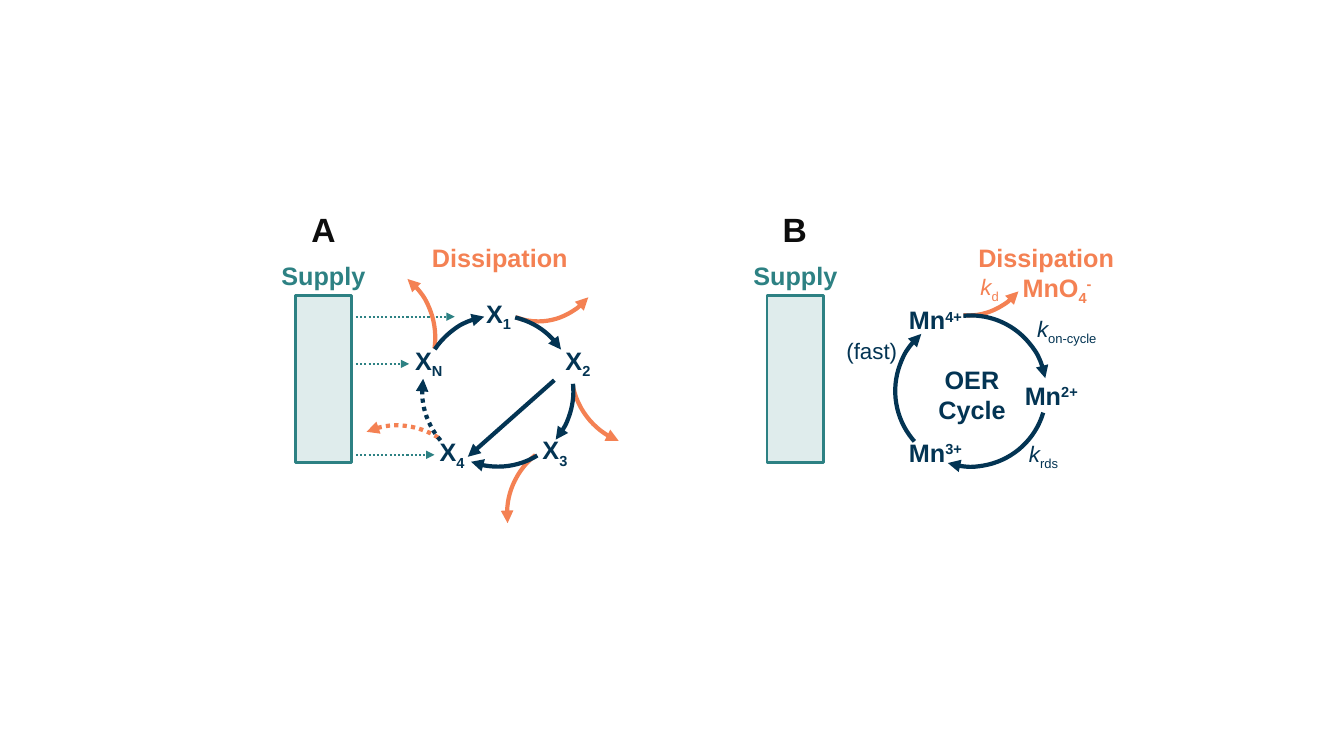
from dataclasses import dataclass

from pptx import Presentation
from pptx.dml.color import RGBColor
from pptx.enum.dml import MSO_LINE
from pptx.enum.shapes import MSO_CONNECTOR, MSO_SHAPE
from pptx.enum.text import PP_ALIGN
from pptx.oxml.ns import qn
from pptx.oxml.xmlchemy import OxmlElement
from pptx.util import Cm, Pt


@dataclass(frozen=True)
class Theme:
    font: str = "Arial"
    teal: str = "2D8183"
    coral: str = "F48153"
    navy: str = "033453"
    ink: str = "0D0D0D"
    panel: int = 24
    label: int = 18
    rate: int = 16
    bold: float = 3
    edge: float = 2
    thin: float = 1.5


THEME = Theme()
LEFT, MID, RIGHT = PP_ALIGN.LEFT, PP_ALIGN.CENTER, PP_ALIGN.RIGHT
SHIFT = {"sub": "-25000", "sup": "30000"}

# All lengths are in centimetres, all angles in degrees.
ARC = 3.81
RING_TOP = 7.95
RING_A, RING_B = 10.64, 22.56
BAR_TOP, BAR_W, BAR_H = 7.44, 1.42, 4.22
BARS = [7.44, 19.33]

FEED_X = 8.97
FEEDS = [(9.17, 10.31), (7.98, 11.46), (11.46, 10.95)]  # y, end x

# left, top, width, turn, start, end, dotted
LOSSES = [
    (22.68, 4.14, 3.45, 0, 45.81, 93.65, False),
    (7.16, 6.6, ARC, 340.7, 328.56, 27.58, False),
    (14.4, 7.44, ARC, 0, 111.95, 168.5, False),
    (12.78, 11.05, ARC, 0, 173.08, 231.38, False),
    (8.1, 10.72, ARC, 340.7, 265.58, 324.77, True),
    (11.84, 4.29, 3.45, 0, 45.81, 107.5, False),
]

# ring left, turn, start, end, dotted
STEPS = [
    (RING_A, 50.6, 303.91, 349.39, False),
    (RING_A, 50.6, 232.67, 276.13, False),
    (RING_A, 32.7, 106.55, 156.62, True),
    (RING_A, 40.8, 17.68, 69.9, False),
    (RING_A, 50.6, 162.92, 209.03, False),
    (RING_B, 50.6, 326.01, 57.1, False),
    (RING_B, 50.6, 213.75, 299.55, False),
    (RING_B, 50.6, 87.62, 178.46, False),
]
SHORTCUT = (13.97, 9.58, 11.79, 11.51)

STATES = [("1", 12.07, 7.52), ("2", 14.07, 8.69), ("3", 13.49, 10.95),
          ("4", 10.9, 11), ("N", 10.31, 8.69)]
IONS = [("2+", 25.58, 9.58), ("3+", 22.66, 11.02), ("4+", 22.66, 7.67)]

# text, left, top, width, height, colour, size
HEADS = [
    ("A", 7.42, 5.26, 1.47, 1.02, THEME.ink, THEME.panel),
    ("B", 19.33, 5.26, 1.4, 1.02, THEME.ink, THEME.panel),
    ("Supply", 7.05, 6.55, 2.2, 0.76, THEME.teal, THEME.label),
    ("Supply", 18.14, 6.55, 3.81, 0.76, THEME.teal, THEME.label),
    ("Dissipation", 10.69, 6.1, 3.81, 0.76, THEME.coral, THEME.label),
    ("Dissipation", 24.46, 6.1, 3.81, 0.76, THEME.coral, THEME.label),
    ("OER\nCycle", 23.34, 9.17, 2.31, 1.55, THEME.navy, THEME.label),
]

# subscript, left, top, width, height, colour, alignment, padded
RATES = [
    ("on-cycle", 25.37, 7.95, 2.26, 0.69, THEME.navy, RIGHT, False),
    ("d", 24.46, 6.76, 1.52, 0.94, THEME.coral, LEFT, True),
    ("rds", 25.68, 10.97, 1.47, 0.94, THEME.navy, LEFT, True),
]


def stroke(shape, color, width, dotted=False, end=None):
    """Style the outline; end is "headEnd" or "tailEnd" for an arrowhead."""
    shape.line.color.rgb = RGBColor.from_string(color)
    shape.line.width = Pt(width)
    if dotted:
        shape.line.dash_style = MSO_LINE.ROUND_DOT
    if end:
        tip = OxmlElement(f"a:{end}")
        tip.set("type", "triangle")
        shape._element.spPr.find(qn("a:ln")).append(tip)


def arrow(slide, x1, y1, x2, y2, color, width, dotted=False):
    line = slide.shapes.add_connector(
        MSO_CONNECTOR.STRAIGHT, Cm(x1), Cm(y1), Cm(x2), Cm(y2))
    stroke(line, color, width, dotted, "tailEnd")
    line._element.spPr.append(OxmlElement("a:effectLst"))


def arc(slide, x, y, w, turn, start, stop, color, dotted, end):
    curve = slide.shapes.add_shape(
        MSO_SHAPE.ARC, Cm(x), Cm(y), Cm(w), Cm(ARC))
    curve.shadow.inherit = False
    curve.fill.background()
    curve.rotation = turn
    for i, angle in enumerate((start, stop)):
        curve.adjustments[i] = angle * 0.6  # 60000 units a degree, over 100000
    stroke(curve, color, THEME.bold, dotted, end)


def bar(slide, x):
    box = slide.shapes.add_shape(
        MSO_SHAPE.RECTANGLE, Cm(x), Cm(BAR_TOP), Cm(BAR_W), Cm(BAR_H))
    box.shadow.inherit = False
    box.fill.solid()
    box.fill.fore_color.rgb = RGBColor.from_string(THEME.teal)
    alpha = OxmlElement("a:alpha")
    alpha.set("val", "15000")
    box._element.spPr.find(qn("a:solidFill"))[0].append(alpha)
    stroke(box, THEME.teal, THEME.edge)


def label(slide, x, y, w, h, lines, color, size=THEME.label, bold=True,
          align=MID, padded=False):
    """Write lines of (text, kind) runs; kind is "", "it", "sub" or "sup"."""
    frame = slide.shapes.add_textbox(Cm(x), Cm(y), Cm(w), Cm(h)).text_frame
    frame.word_wrap = True
    if not padded:
        frame.margin_left = frame.margin_right = 0
        frame.margin_top = frame.margin_bottom = 0
    for i, runs in enumerate(lines):
        para = frame.add_paragraph() if i else frame.paragraphs[0]
        para.alignment = align
        for text, kind in runs:
            run = para.add_run()
            run.text = text
            font = run.font
            font.name, font.size, font.bold = THEME.font, Pt(size), bold
            font.italic = kind == "it"
            font.color.rgb = RGBColor.from_string(color)
            if kind in SHIFT:
                run._r.get_or_add_rPr().set("baseline", SHIFT[kind])


def main():
    deck = Presentation()
    deck.slide_width, deck.slide_height = Cm(33.87), Cm(19.05)
    slide = deck.slides.add_slide(deck.slide_layouts[6])

    for y, stop in FEEDS:
        arrow(slide, FEED_X, y, stop, y, THEME.teal, THEME.thin, True)
    for x in BARS:
        bar(slide, x)
    for *place, dotted in LOSSES:
        arc(slide, *place, THEME.coral, dotted, "headEnd")
    for x, turn, start, stop, dotted in STEPS:
        arc(slide, x, RING_TOP, ARC, turn, start, stop,
            THEME.navy, dotted, "tailEnd")
    arrow(slide, *SHORTCUT, THEME.navy, THEME.bold)

    for text, x, y, w, h, color, size in HEADS:
        lines = [[(part, "")] for part in text.split("\n")]
        label(slide, x, y, w, h, lines, color, size)
    for sub, x, y in STATES:
        label(slide, x, y, 0.99, 0.97, [[("X", ""), (sub, "sub")]], THEME.navy)
    for sup, x, y in IONS:
        label(slide, x, y, 1.83, 0.76, [[("Mn", ""), (sup, "sup")]], THEME.navy)
    label(slide, 25.55, 6.86, 2.18, 0.76,
          [[("MnO", ""), ("4", "sub"), ("-", "sup")]], THEME.coral)
    for sub, x, y, w, h, color, align, padded in RATES:
        label(slide, x, y, w, h, [[("k", "it"), (sub, "sub")]], color,
              THEME.rate, False, align, padded)
    label(slide, 21.08, 8.36, 2.26, 0.94, [[("(fast)", "")]], THEME.navy,
          THEME.rate, False, LEFT, True)

    deck.save("out.pptx")


if __name__ == "__main__":
    main()
